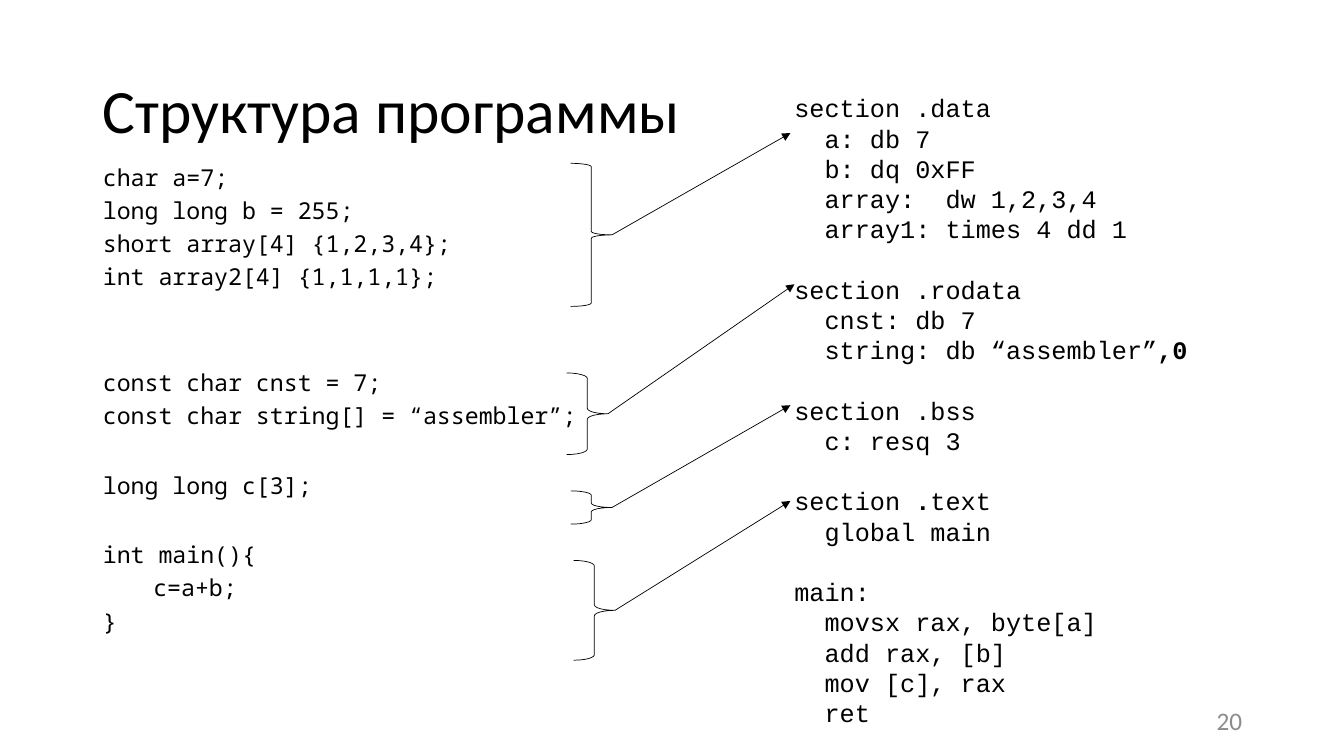
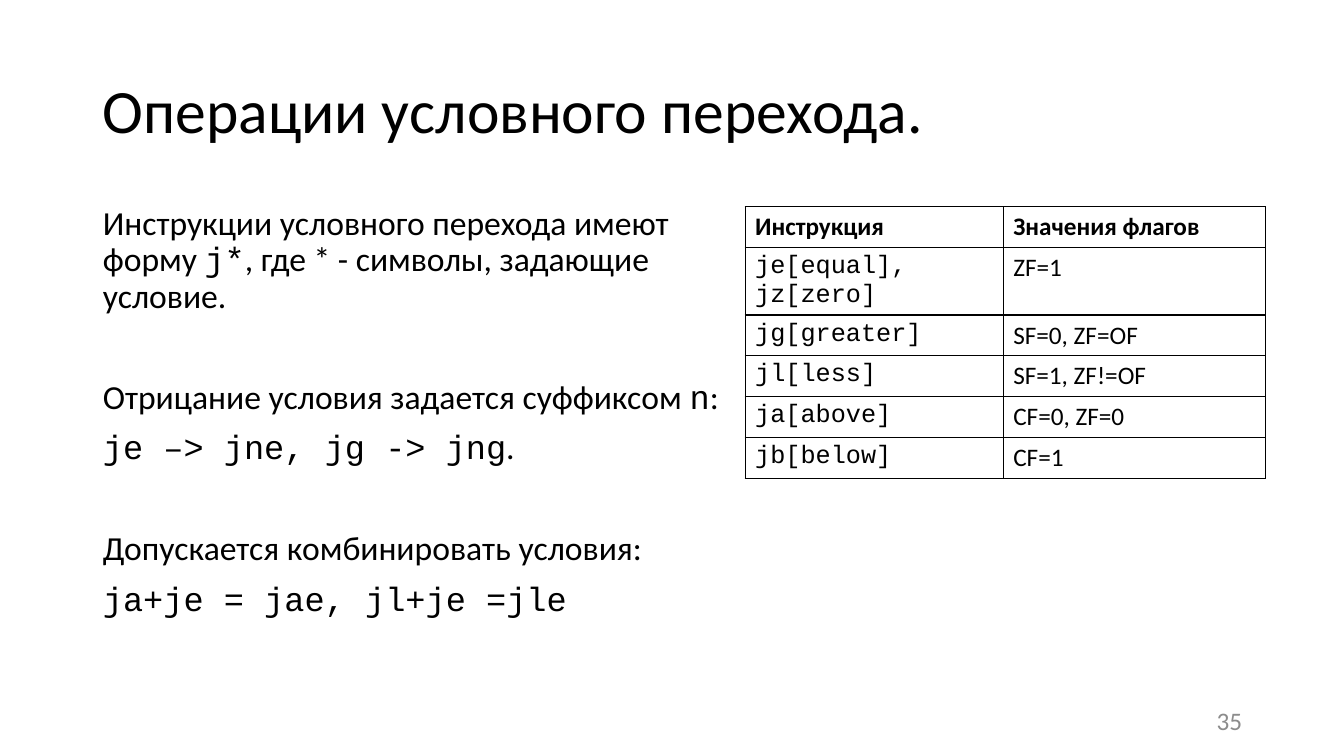
from dataclasses import dataclass

import pptx
import pptx.chart.data
import pptx.dml.color
import pptx.enum.shapes
import pptx.enum.text
import pptx.oxml.ns
import pptx.util
from lxml import etree

Inches = pptx.util.Inches
Pt = pptx.util.Pt
qn = pptx.oxml.ns.qn

COLORS = {"ink": "000000", "number": "8C8C8C"}
SANS = "Calibri"
MONO = "Courier New"
BRACE_WIDTH = 0.41


@dataclass
class TextStyle:
    font: str
    size: float
    leading: object
    pitch: float
    space: float = 0
    accent_font: str = ""
    accent_bold: bool = False


C_CODE = TextStyle("Noto Sans Mono", 16.6, 0.8, pitch=25.9, space=7.8)
ASM_CODE = TextStyle(MONO, 18, Pt(21.6), pitch=21.6, accent_bold=True)
PROSE = TextStyle(SANS, 24, 0.9, pitch=36.4, space=10, accent_font=MONO)

C_BLOCKS = [
    (0, ["char a=7;", "long long b = 255;", "short array[4] {1,2,3,4};", "int array2[4] {1,1,1,1};"]),
    (2, ["const char cnst = 7;", "const char string[] = “assembler”;"]),
    (1, ["long long c[3];"]),
    (1, ["int main(){", "\tc=a+b;", "}"]),
]
ASM_BLOCKS = [
    (0, ["section .data", "  a: db 7", "  b: dq 0xFF", "  array:  dw 1,2,3,4", "  array1: times 4 dd 1"]),
    (1, ["section .rodata", "  cnst: db 7", "  string: db “assembler”|,0"]),
    (1, ["section .bss", "  c: resq 3"]),
    (1, ["section |.|text", "  global main"]),
    (1, ["main:", "  movsx rax, byte[a]", "  add rax, [b]", "  mov [c], rax", "  ret"]),
]
JUMP_BLOCKS = [
    (0, ["Инструкции условного перехода имеют форму |j*|, где * - символы, задающие условие."]),
    (1, ["Отрицание условия задается суффиксом |n|:", "|je –> jne, jg -> jng|."]),
    (1, ["Допускается комбинировать условия:", "|ja+je = jae, jl+je =jle"]),
]
FLAG_ROWS = [
    ("Инструкция", "Значения флагов"),
    ("je[equal], jz[zero]", "ZF=1"),
    ("jg[greater]", "SF=0, ZF=OF"),
    ("jl[less]", "SF=1, ZF!=OF"),
    ("ja[above]", "CF=0, ZF=0"),
    ("jb[below]", "CF=1"),
]
BRACES = [
    (5.66, 1.62, 1.42, 0.083, (7.84, 1.32)),
    (5.62, 3.7, 0.81, 0.132, (7.88, 2.82)),
    (5.66, 4.87, 0.33, 0.132, (7.84, 4.02)),
    (5.69, 5.56, 0.99, 0.132, (7.84, 4.97)),
]


def rgb(name):
    return pptx.dml.color.RGBColor.from_string(COLORS[name])


def set_font(font, name, size, color="ink", bold=False):
    font.name = name
    font.size = Pt(size)
    font.bold = bold
    font.color.rgb = rgb(color)


def place(shape, left, top, width, height):
    shape.left, shape.top = Inches(left), Inches(top)
    shape.width, shape.height = Inches(width), Inches(height)


def prepare_frame(frame, anchor):
    frame.word_wrap = True
    frame.auto_size = pptx.enum.text.MSO_AUTO_SIZE.NONE
    frame.vertical_anchor = anchor


def clear_bullet(para):
    props = para._p.get_or_add_pPr()
    props.set("marL", "0")
    props.set("indent", "0")
    etree.SubElement(props, qn("a:buNone"))


def write_line(para, line, style):
    for index, text in enumerate(line.split("|")):
        if not text:
            continue
        span = para.add_run()
        span.text = text
        accent = index % 2 == 1
        name = style.accent_font if accent and style.accent_font else style.font
        set_font(span.font, name, style.size, bold=accent and style.accent_bold)


def write_blocks(frame, blocks, style):
    prepare_frame(frame, pptx.enum.text.MSO_ANCHOR.TOP)
    para = None
    for skipped, lines in blocks:
        for row, line in enumerate(lines):
            first = para is None
            para = frame.paragraphs[0] if first else frame.add_paragraph()
            clear_bullet(para)
            para.line_spacing = style.leading
            gap = style.space + (style.pitch * skipped if row == 0 else 0)
            para.space_before = Pt(0 if first else gap)
            write_line(para, line, style)


def write_single(frame, text, size, align, color="ink"):
    prepare_frame(frame, pptx.enum.text.MSO_ANCHOR.MIDDLE)
    frame.text = text
    para = frame.paragraphs[0]
    para.alignment = align
    set_font(para.runs[0].font, SANS, size, color)
    return para


def add_page(deck, title, number):
    page = deck.slides.add_slide(deck.slide_layouts[1])
    place(page.shapes.title, 0.92, 0.4, 11.5, 1.45)
    para = write_single(page.shapes.title.text_frame, title, 44, pptx.enum.text.PP_ALIGN.LEFT)
    para.line_spacing = 0.9
    box = page.shapes.add_textbox(Inches(9.42), Inches(6.95), Inches(3), Inches(0.4))
    write_single(box.text_frame, number, 18, pptx.enum.text.PP_ALIGN.RIGHT, "number")
    return page


def fill_body(page, area, blocks, style):
    body = page.placeholders[1]
    place(body, *area)
    write_blocks(body.text_frame, blocks, style)


def add_brace(page, left, top, height, curve):
    brace = page.shapes.add_shape(
        pptx.enum.shapes.MSO_SHAPE.RIGHT_BRACE,
        Inches(left), Inches(top), Inches(BRACE_WIDTH), Inches(height))
    brace.shadow.inherit = False
    brace.adjustments[0] = curve
    brace.fill.background()
    brace.line.color.rgb = rgb("ink")
    brace.line.width = Pt(0.5)


def add_arrow(page, start, end):
    arrow = page.shapes.add_connector(
        pptx.enum.shapes.MSO_CONNECTOR.STRAIGHT, *map(Inches, start + end))
    arrow.line.color.rgb = rgb("ink")
    arrow.line.width = Pt(0.5)
    etree.SubElement(arrow.line._get_or_add_ln(), qn("a:tailEnd"), type="triangle")
    etree.SubElement(arrow._element.spPr, qn("a:effectLst"))


def add_borders(cell):
    props = cell._tc.get_or_add_tcPr()
    for index, side in enumerate(("lnL", "lnR", "lnT", "lnB")):
        border = etree.Element(qn("a:" + side), w=str(Pt(1)))
        fill = etree.SubElement(border, qn("a:solidFill"))
        etree.SubElement(fill, qn("a:srgbClr"), val=COLORS["ink"])
        props.insert(index, border)


def add_flag_table(page):
    table = page.shapes.add_table(
        len(FLAG_ROWS), 2, Inches(7.39), Inches(2.05), Inches(5.16), Inches(2.67)).table
    table.first_row = False
    table.horz_banding = False
    for column, width in zip(table.columns, (2.56, 2.6)):
        column.width = Inches(width)
    for row, texts in enumerate(FLAG_ROWS):
        table.rows[row].height = Inches(0.67 if row == 1 else 0.4)
        for column, text in enumerate(texts):
            cell = table.cell(row, column)
            cell.fill.background()
            add_borders(cell)
            cell.text_frame.text = text
            name = MONO if row and column == 0 else SANS
            set_font(cell.text_frame.paragraphs[0].runs[0].font, name, 18, bold=row == 0)


def build_structure_page(deck):
    page = add_page(deck, "Структура программы", "20")
    fill_body(page, (0.92, 1.62, 6.07, 5.14), C_BLOCKS, C_CODE)
    box = page.shapes.add_textbox(Inches(7.78), Inches(0.87), Inches(4.54), Inches(6.46))
    write_blocks(box.text_frame, ASM_BLOCKS, ASM_CODE)
    for left, top, height, curve, target in BRACES:
        add_brace(page, left, top, height, curve)
        add_arrow(page, (left + BRACE_WIDTH, top + height / 2), target)


def build_jump_page(deck):
    page = add_page(deck, "Операции условного перехода.", "35")
    add_flag_table(page)
    fill_body(page, (0.92, 2, 6.34, 4.76), JUMP_BLOCKS, PROSE)


def main():
    deck = pptx.Presentation()
    deck.slide_width = Inches(13.33)
    deck.slide_height = Inches(7.5)
    build_structure_page(deck)
    build_jump_page(deck)
    deck.save("out.pptx")


if __name__ == "__main__":
    main()
